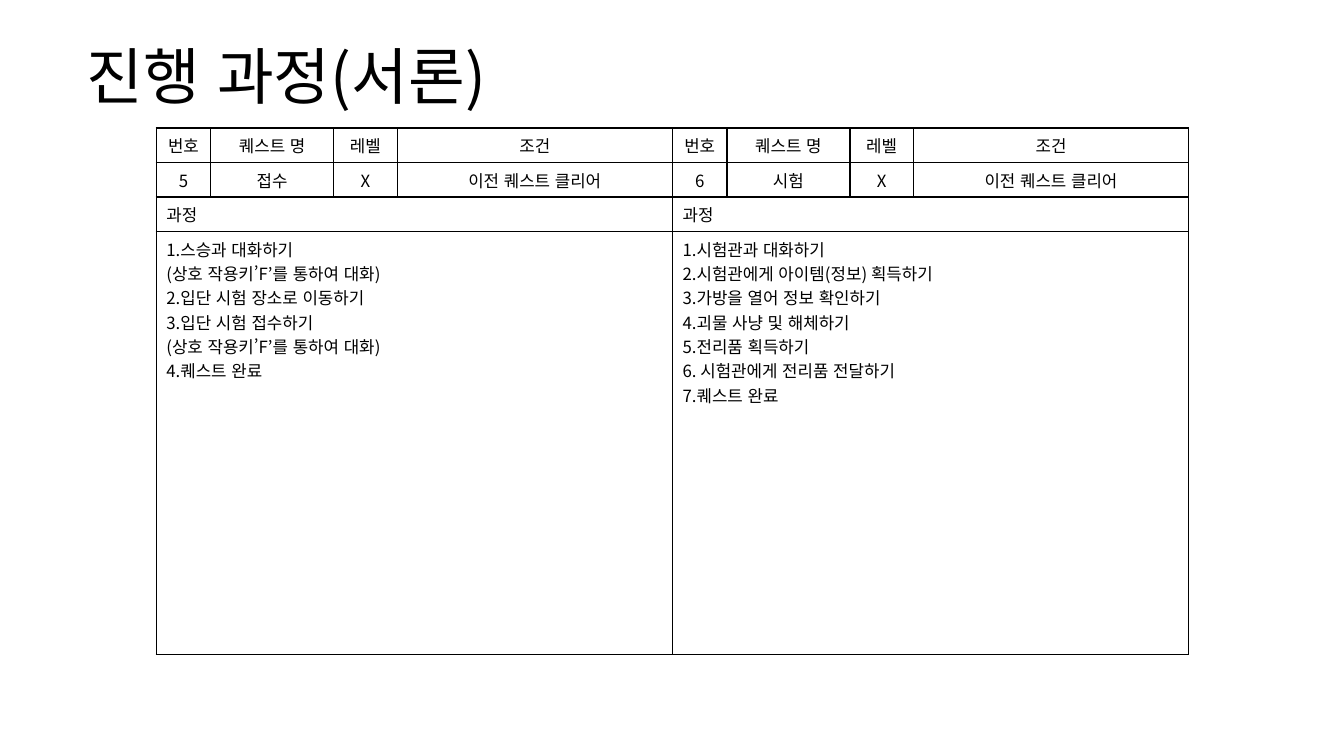
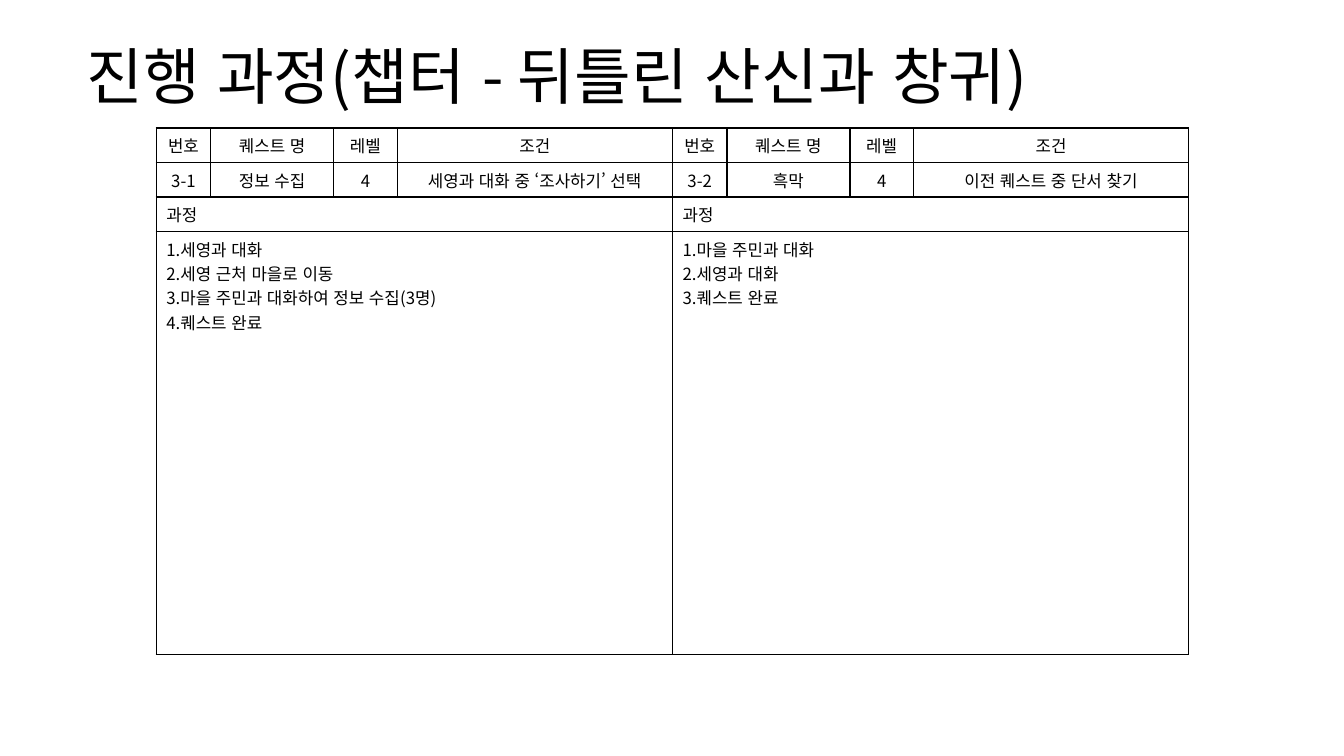
from lxml.etree import SubElement
from pptx import Presentation
from pptx.dml.color import RGBColor
from pptx.enum.lang import MSO_LANGUAGE_ID as Language
from pptx.enum.text import MSO_ANCHOR as Anchor, MSO_AUTO_SIZE as AutoSize, PP_ALIGN as Align
from pptx.oxml import parse_xml
from pptx.oxml.ns import nsdecls, qn
from pptx.util import Inches, Pt

BLACK = RGBColor(0, 0, 0)
WHITE = RGBColor(255, 255, 255)
FONT = "Noto Sans CJK KR"
TITLE_ONLY = 5
HEADINGS = ("번호", "퀘스트 명", "레벨", "조건")
COLUMN_WIDTHS = (0.54, 1.22, 0.63, 2.73)
ROW_HEIGHTS = (0.34, 0.34, 0.34, 4.2)
TABLE_LEFT, TABLE_TOP = 1.55, 1.27
TALK_KEY = "(상호 작용키’F’를 통하여 대화)"

CHAPTERS = (
    ("진행 과정(서론)", (
        (("5", "접수", "X", "이전 퀘스트 클리어"),
         ("1.스승과 대화하기", TALK_KEY, "2.입단 시험 장소로 이동하기",
          "3.입단 시험 접수하기", TALK_KEY, "4.퀘스트 완료")),
        (("6", "시험", "X", "이전 퀘스트 클리어"),
         ("1.시험관과 대화하기", "2.시험관에게 아이템(정보) 획득하기",
          "3.가방을 열어 정보 확인하기", "4.괴물 사냥 및 해체하기",
          "5.전리품 획득하기", "6. 시험관에게 전리품 전달하기", "7.퀘스트 완료")),
    )),
    ("진행 과정(챕터 - 뒤틀린 산신과 창귀)", (
        (("3-1", "정보 수집", "4", "세영과 대화 중 ‘조사하기’ 선택"),
         ("1.세영과 대화", "2.세영 근처 마을로 이동",
          "3.마을 주민과 대화하여 정보 수집(3명)", "4.퀘스트 완료")),
        (("3-2", "흑막", "4", "이전 퀘스트 중 단서 찾기"),
         ("1.마을 주민과 대화", "2.세영과 대화", "3.퀘스트 완료")),
    )),
)


class QuestDeck:
    """Builds quest slides in one shared style."""

    def __init__(self):
        self.deck = Presentation()
        self.deck.slide_width, self.deck.slide_height = Inches(13.33), Inches(7.5)
        self.slide = None

    def add_slide(self, heading):
        self.slide = self.deck.slides.add_slide(self.deck.slide_layouts[TITLE_ONLY])
        self.slide.background.fill.solid()
        self.slide.background.fill.fore_color.rgb = WHITE
        title = self.slide.shapes.title
        title.left, title.top = Inches(0.76), Inches(0.32)
        title.width, title.height = Inches(11.81), Inches(0.94)
        frame = title.text_frame
        frame.auto_size, frame.word_wrap = AutoSize.NONE, True
        frame.vertical_anchor = Anchor.MIDDLE
        self.add_lines(frame, [heading], 44)
        frame.paragraphs[0].line_spacing = 0.9

    def add_lines(self, frame, lines, size=12, align=Align.LEFT):
        for index, line in enumerate(lines):
            paragraph = frame.add_paragraph() if index else frame.paragraphs[0]
            paragraph.alignment = align
            run = paragraph.add_run()
            run.text = line
            font = run.font
            font.size, font.name, font.color.rgb = Pt(size), FONT, BLACK
            font.language_id = Language.KOREAN
            SubElement(run._r.get_or_add_rPr(), qn("a:ea"), typeface=FONT)

    def outline(self, cell):
        properties = cell._tc.get_or_add_tcPr()
        for side in ("lnL", "lnR", "lnT", "lnB"):
            properties.append(parse_xml(
                f'<a:{side} {nsdecls("a")} w="{Pt(1)}"><a:solidFill>'
                f'<a:srgbClr val="{BLACK}"/></a:solidFill></a:{side}>'))
        cell.fill.background()

    def add_quest(self, position, details, steps):
        width = sum(COLUMN_WIDTHS)
        table = self.slide.shapes.add_table(
            len(ROW_HEIGHTS), len(COLUMN_WIDTHS),
            Inches(TABLE_LEFT + position * width), Inches(TABLE_TOP),
            Inches(width), Inches(sum(ROW_HEIGHTS))).table
        table.first_row = table.horz_banding = False
        for column, column_width in zip(table.columns, COLUMN_WIDTHS):
            column.width = Inches(column_width)
        for row, row_height in zip(table.rows, ROW_HEIGHTS):
            row.height = Inches(row_height)
        for cell in table.iter_cells():
            self.outline(cell)
        for row, texts in enumerate((HEADINGS, details)):
            for column, text in enumerate(texts):
                self.add_lines(table.cell(row, column).text_frame, [text], align=Align.CENTER)
        for row, lines in enumerate((["과정"], steps), start=2):
            table.cell(row, 0).merge(table.cell(row, len(COLUMN_WIDTHS) - 1))
            self.add_lines(table.cell(row, 0).text_frame, lines)


def main():
    quest_deck = QuestDeck()
    for heading, quests in CHAPTERS:
        quest_deck.add_slide(heading)
        for position, (details, steps) in enumerate(quests):
            quest_deck.add_quest(position, details, steps)
    quest_deck.deck.save("out.pptx")


if __name__ == "__main__":
    main()
